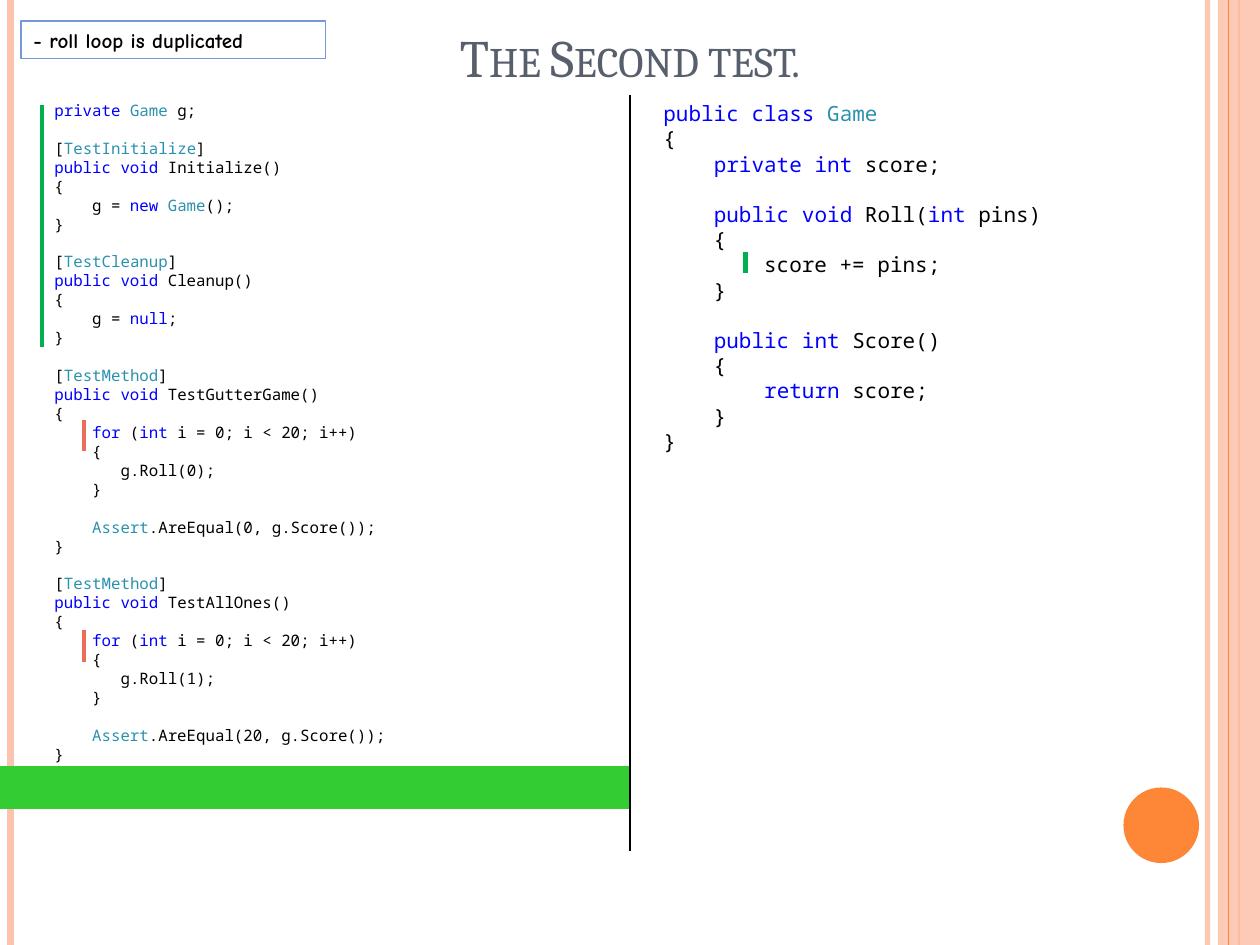
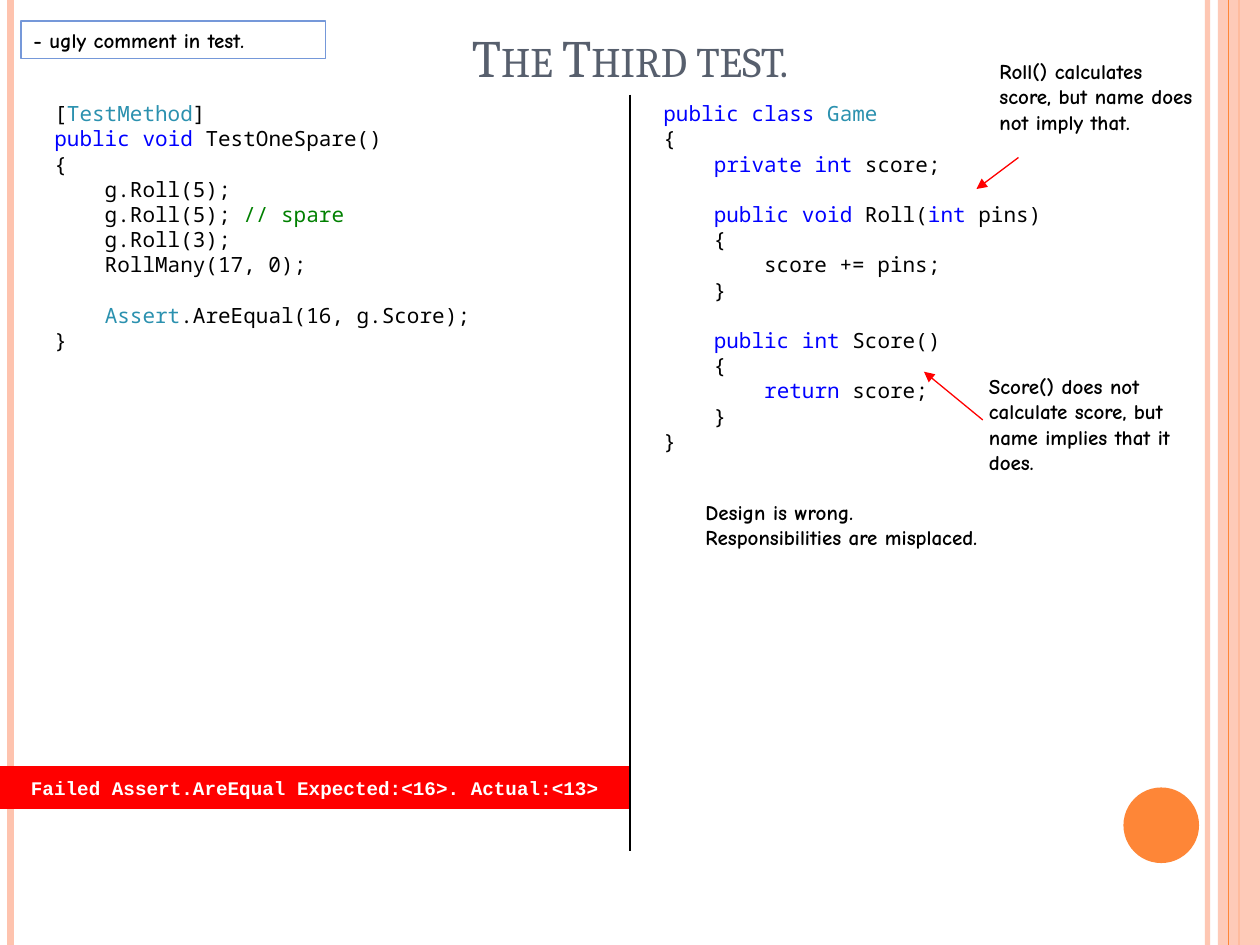
from dataclasses import dataclass
from itertools import groupby

from lxml import etree
from pptx import Presentation
from pptx.dml.color import RGBColor
from pptx.enum.shapes import MSO_CONNECTOR, MSO_SHAPE
from pptx.enum.text import MSO_ANCHOR, MSO_AUTO_SIZE, PP_ALIGN
from pptx.oxml.ns import qn
from pptx.util import Pt

STRAIGHT = MSO_CONNECTOR.STRAIGHT
RECTANGLE, OVAL = MSO_SHAPE.RECTANGLE, MSO_SHAPE.OVAL
TOP, MIDDLE, BOTTOM = MSO_ANCHOR.TOP, MSO_ANCHOR.MIDDLE, MSO_ANCHOR.BOTTOM
LEFT, CENTER = PP_ALIGN.LEFT, PP_ALIGN.CENTER
GROW, FIXED = MSO_AUTO_SIZE.SHAPE_TO_FIT_TEXT, MSO_AUTO_SIZE.NONE

EMU_PER_PX = 7620  # 120 px to the inch
WIDTH, HEIGHT = 1200, 900
TITLE_ONLY_LAYOUT = 5
CODE_LINE_HEIGHT = 1.2

COLORS = {
    "peach": "FEC3AE", "orange": "FE8637", "title": "575F6D", "note": "7598D9",
    "passed": "33CC33", "failed": "FF0000", "added": "00B050", "smell": "EB6E5A",
    "text": "000000", "white": "FFFFFF",
    "keyword": "0000FF", "type": "2B91AF", "comment": "008000",
}
KEYWORDS = {"private", "public", "void", "new", "null", "for", "int", "class", "return"}
TYPES = {"Game", "TestInitialize", "TestCleanup", "TestMethod", "Assert"}


@dataclass(frozen=True)
class Area:
    left: int
    top: int
    width: int
    height: int

    def emu(self) -> list[int]:
        return [px * EMU_PER_PX for px in (self.left, self.top, self.width, self.height)]


@dataclass(frozen=True)
class Font:
    name: str
    size: int
    color: str
    bold: bool = False


@dataclass(frozen=True)
class Line:
    start: tuple[int, int]
    end: tuple[int, int]
    color: str
    width: float
    opacity: int = 100
    arrow: bool = False


@dataclass(frozen=True)
class Remark:
    area: Area
    text: str


@dataclass(frozen=True)
class TestSlide:
    title: str
    note: str
    test_code: str
    test_size: int
    test_height: int
    result: str
    result_color: str
    lines: tuple[Line, ...]
    remarks: tuple[Remark, ...] = ()


TITLE_FONT = Font("Cambria", 30, "title")
REMARK_FONT = Font("Comic Neue", 12, "text", True)
RESULT_FONT = Font("Courier New", 11, "white", True)

TITLE_AREA = Area(60, 0, 1080, 90)
NOTE_AREA = Area(20, 20, 290, 36)
RESULT_AREA = Area(0, 730, 600, 40)
GAME_AREA = Area(620, 90, 560, 375)
DIVIDER = Line((600, 90), (600, 810), "text", 1)


def upright(x: int, top: int, bottom: int, color: str, width: float, opacity: int = 100) -> Line:
    return Line((x, top), (x, bottom), color, width, opacity)


def loop_test(name: str, pins: int, total: int) -> str:
    return f"""[TestMethod]
public void {name}()
{{
    for (int i = 0; i < 20; i++)
    {{
       g.Roll({pins});
    }}

    Assert.AreEqual({total}, g.Score());
}}"""


SETUP_CODE = """private Game g;

[TestInitialize]
public void Initialize()
{
    g = new Game();
}

[TestCleanup]
public void Cleanup()
{
    g = null;
}"""

SPARE_CODE = """[TestMethod]
public void TestOneSpare()
{
    g.Roll(5);
    g.Roll(5); // spare
    g.Roll(3);
    RollMany(17, 0);

    Assert.AreEqual(16, g.Score);
}"""

GAME_CODE = """public class Game
{
    private int score;

    public void Roll(int pins)
    {
        score += pins;
    }

    public int Score()
    {
        return score;
    }
}"""

SLIDES = (
    TestSlide(
        title="The Second test.",
        note="- roll loop is duplicated",
        test_code="\n\n".join((SETUP_CODE, loop_test("TestGutterGame", 0, 0),
                               loop_test("TestAllOnes", 1, 20))),
        test_size=9,
        test_height=648,
        result="",
        result_color="passed",
        lines=(
            upright(40, 100, 330, "added", 2.75),
            upright(80, 400, 430, "smell", 2.75),
            upright(80, 600, 630, "smell", 2.75),
            upright(710, 240, 260, "added", 2.75),
        ),
    ),
    TestSlide(
        title="The Third test.",
        note="- ugly comment in test.",
        test_code=SPARE_CODE,
        test_size=12,
        test_height=254,
        result="Failed Assert.AreEqual Expected:<16>. Actual:<13>",
        result_color="failed",
        lines=(
            Line((936, 400), (880, 354), "failed", 0.75, arrow=True),
            Line((970, 150), (930, 180), "failed", 0.75, arrow=True),
        ),
        remarks=(
            Remark(Area(940, 50, 210, 85),
                   "Roll() calculates score, but name does not imply that."),
            Remark(Area(930, 350, 210, 109),
                   "Score() does not calculate score, but name implies that it does."),
            Remark(Area(660, 470, 290, 60),
                   "Design is wrong. Responsibilities are misplaced."),
        ),
    ),
)


def rgb(color: str) -> RGBColor:
    return RGBColor.from_string(COLORS[color])


def set_opacity(shape, percent: int) -> None:
    if percent < 100:
        for color in shape.element.spPr.iter(qn("a:srgbClr")):
            etree.SubElement(color, qn("a:alpha"), val=str(percent * 1000))


def format_span(span, font: Font) -> None:
    span.font.name = font.name
    span.font.size = Pt(font.size)
    span.font.bold = font.bold
    span.font.color.rgb = rgb(font.color)


def write(frame, text: str, font: Font, align=LEFT, anchor=TOP, fit=GROW, wrap=True) -> None:
    frame.text = text
    frame.auto_size = fit
    frame.word_wrap = wrap
    frame.vertical_anchor = anchor
    para = frame.paragraphs[0]
    para.alignment = align
    for span in para.runs:
        format_span(span, font)


def draw_line(slide, line: Line) -> None:
    ends = [px * EMU_PER_PX for px in (*line.start, *line.end)]
    connector = slide.shapes.add_connector(STRAIGHT, *ends)
    connector.line.color.rgb = rgb(line.color)
    connector.line.width = Pt(line.width)
    set_opacity(connector, line.opacity)
    properties = connector.element.spPr
    if line.arrow:
        etree.SubElement(properties.find(qn("a:ln")), qn("a:tailEnd"), type="triangle")
    etree.SubElement(properties, qn("a:effectLst"))


def draw_shape(slide, kind, area: Area, fill: str = "", outline: str = "", opacity: int = 100):
    shape = slide.shapes.add_shape(kind, *area.emu())
    shape.shadow.inherit = False
    if fill:
        shape.fill.solid()
        shape.fill.fore_color.rgb = rgb(fill)
    else:
        shape.fill.background()
    if outline:
        shape.line.color.rgb = rgb(outline)
        shape.line.width = Pt(0.75)
    else:
        shape.line.fill.background()
    set_opacity(shape, opacity)
    return shape


def draw_frame(slide) -> None:
    """Draw the side bands and the disc that every slide carries."""
    draw_line(slide, upright(1150, 0, HEIGHT, "peach", 3, 93))
    draw_line(slide, upright(10, 0, HEIGHT, "peach", 4.5))
    draw_line(slide, upright(1180, 0, HEIGHT, "orange", 1.5))
    draw_shape(slide, RECTANGLE, Area(1160, 0, 40, HEIGHT), "peach", opacity=87)
    draw_line(slide, upright(1170, 0, HEIGHT, "orange", 0.75))
    draw_shape(slide, OVAL, Area(1070, 750, 72, 72), "orange")


def token_color(token: str) -> str:
    if token in KEYWORDS:
        return "keyword"
    return "type" if token in TYPES else "text"


def colored_tokens(code_line: str) -> list[tuple[str, str]]:
    code, slashes, comment = code_line.partition("//")
    words = ("".join(group) for _, group in groupby(code, str.isalnum))
    tokens = [(word, token_color(word)) for word in words]
    return tokens + [(slashes + comment, "comment")] if slashes else tokens


def draw_code(slide, area: Area, code: str, size: int) -> None:
    """Write highlighted code; a blank line becomes space before the next one."""
    frame = slide.shapes.add_textbox(*area.emu()).text_frame
    frame.word_wrap = True
    frame.auto_size = GROW
    for block_index, block in enumerate(code.split("\n\n")):
        for line_index, code_line in enumerate(block.split("\n")):
            first = block_index == line_index == 0
            para = frame.paragraphs[0] if first else frame.add_paragraph()
            if block_index and not line_index:
                para.space_before = Pt(size * CODE_LINE_HEIGHT)
            for token, color in colored_tokens(code_line):
                span = para.add_run()
                span.text = token
                format_span(span, Font("Noto Sans Mono", size, color))


def draw_title(slide, text: str) -> None:
    title = slide.shapes.title
    title.left, title.top, title.width, title.height = TITLE_AREA.emu()
    write(title.text_frame, text, TITLE_FONT, CENTER, BOTTOM, FIXED)
    for span in title.text_frame.paragraphs[0].runs:
        span.font._element.set("cap", "small")


def build_slide(deck, content: TestSlide) -> None:
    slide = deck.slides.add_slide(deck.slide_layouts[TITLE_ONLY_LAYOUT])
    draw_frame(slide)
    draw_title(slide, content.title)
    note = draw_shape(slide, RECTANGLE, NOTE_AREA, outline="note")
    write(note.text_frame, content.note, REMARK_FONT)
    color = content.result_color
    result = draw_shape(slide, RECTANGLE, RESULT_AREA, color, color)
    if content.result:
        write(result.text_frame, content.result, RESULT_FONT, CENTER, MIDDLE, FIXED, wrap=False)
    draw_code(slide, Area(40, 90, 530, content.test_height), content.test_code, content.test_size)
    draw_code(slide, GAME_AREA, GAME_CODE, 12)
    for remark in content.remarks:
        box = slide.shapes.add_textbox(*remark.area.emu())
        write(box.text_frame, remark.text, REMARK_FONT)
    for line in (*content.lines, DIVIDER):
        draw_line(slide, line)


def main() -> None:
    deck = Presentation()
    deck.slide_width, deck.slide_height = WIDTH * EMU_PER_PX, HEIGHT * EMU_PER_PX
    for content in SLIDES:
        build_slide(deck, content)
    deck.save("out.pptx")


if __name__ == "__main__":
    main()
